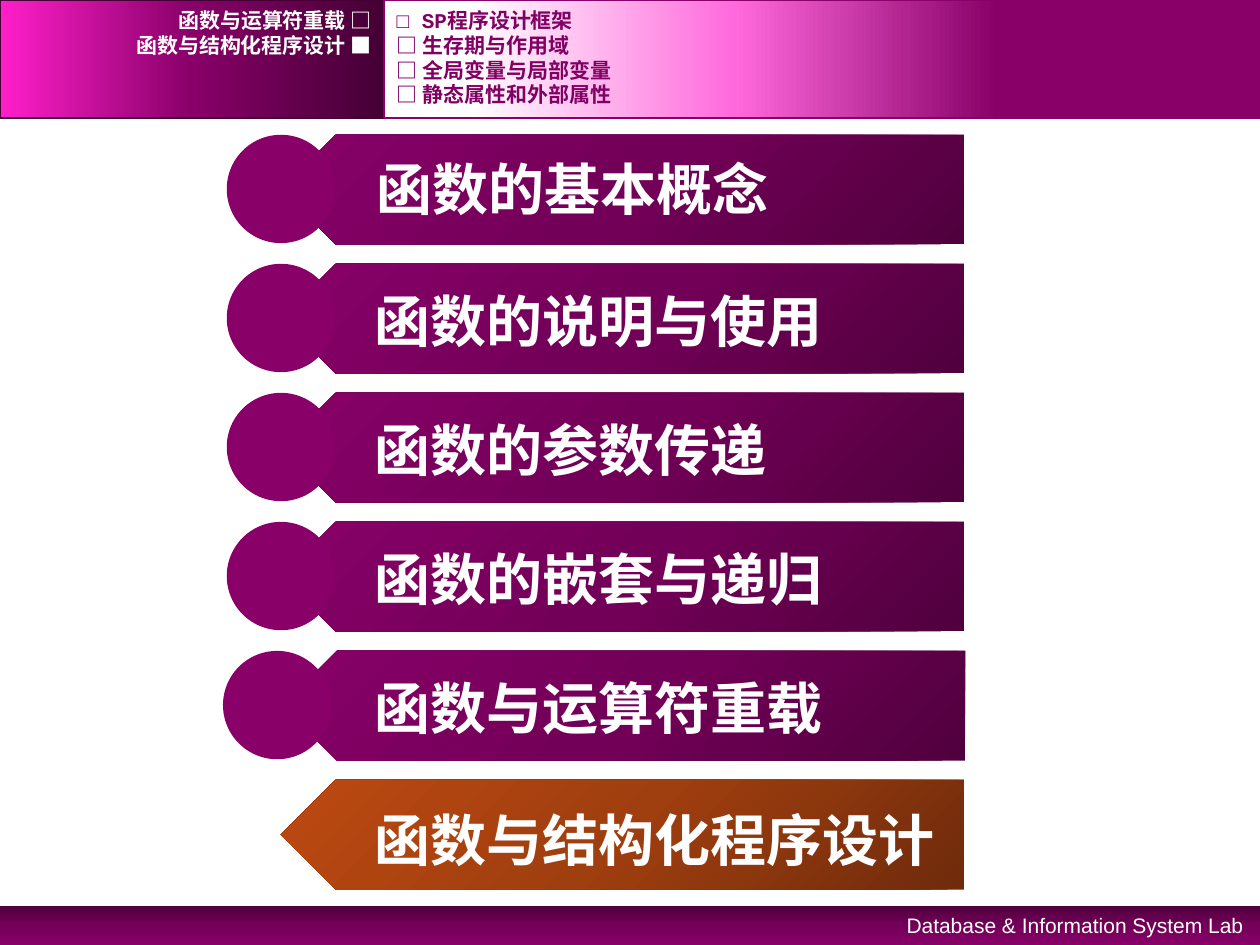
from lxml.etree import SubElement
from pptx import Presentation
from pptx.dml.color import RGBColor
from pptx.enum.shapes import MSO_SHAPE
from pptx.enum.text import MSO_ANCHOR, MSO_AUTO_SIZE, PP_ALIGN
from pptx.oxml.ns import qn
from pptx.util import Inches, Pt

# Content: text, with left and top of the text relative to its row
CHAPTERS = [
    ("函数的基本概念", 2.89, 0.11),
    ("函数的说明与使用", 2.87, 0.13),
    ("函数的参数传递", 2.87, 0.13),
    ("函数的嵌套与递归", 2.87, 0.13),
    ("函数与运算符重载", 2.87, 0.13),
    ("函数与结构化程序设计", 2.87, 0.15),
]
CURRENT = 5
SECTIONS = ["函数与运算符重载 □", "函数与结构化程序设计 ■"]
TOPICS = ["□ SP程序设计框架", "□ 生存期与作用域", "□ 全局变量与局部变量", "□ 静态属性和外部属性"]
FOOTER = "Database & Information System Lab"

# Colours and text formats
PURPLE, DEEP, WHITE = "880068", "440034", "FFFFFF"
PURPLE_STOPS = [(0, "51003E"), (50, "730058"), (100, PURPLE)]
ORANGE_STOPS = [(0, "702B0B"), (50, "9F3E0F"), (100, "BD4912")]
LEFT_STOPS = [(0, DEEP), (50, PURPLE), (100, "FF1FCA")]
RIGHT_STOPS = [(30, PURPLE), (60, "FF69DC"), (90, WHITE)]
CHAPTER_FONT = {"name": "Courier New", "size": Pt(32), "bold": True}
MENU_FONT = {"name": "Courier New", "size": Pt(12), "bold": True}
FOOTER_FONT = {"name": "Arial", "size": Pt(12)}

# Layout in inches
SPLIT = 3.05
FIRST_TOP, LAST_TOP = 1.07, 6.19
ROW_PITCH = (LAST_TOP - FIRST_TOP) / (len(CHAPTERS) - 1)
MENU_TOP, MENU_PITCH = 0.06, 0.197


def colour(hex_value):
    return RGBColor.from_string(hex_value)


def set_gradient(shape, stops, angle):
    """Fill with colour stops; the angle runs clockwise."""
    shape.fill.gradient()
    shape.fill.gradient_angle = -angle % 360
    stop_list = shape.element.spPr.find(qn("a:gradFill")).find(qn("a:gsLst"))
    for old_stop in list(stop_list):
        stop_list.remove(old_stop)
    for position, hex_value in stops:
        stop = SubElement(stop_list, qn("a:gs"), pos=str(position * 1000))
        SubElement(stop, qn("a:srgbClr"), val=hex_value)


def add_shape(page, kind, place, line=None):
    shape = page.shapes.add_shape(kind, *map(Inches, place))
    shape.shadow.inherit = False
    if line:
        shape.line.color.rgb = colour(line)
        shape.line.width = Pt(1)
    else:
        shape.line.fill.background()
    return shape


def add_text(page, text, place, font, hex_value, align=PP_ALIGN.LEFT, anchor=MSO_ANCHOR.TOP):
    box = page.shapes.add_textbox(*map(Inches, place))
    frame = box.text_frame
    frame.word_wrap = True
    frame.auto_size = MSO_AUTO_SIZE.NONE
    frame.vertical_anchor = anchor
    para = frame.paragraphs[0]
    para.alignment = align
    span = para.add_run()
    span.text = text
    for name, value in font.items():
        setattr(span.font, name, value)
    span.font.color.rgb = colour(hex_value)


def add_bands(page):
    bands = [
        ((0, 7.19, 10, 0.31), PURPLE_STOPS, 90, None),
        ((0, 0, SPLIT, 0.94), LEFT_STOPS, 180, DEEP),
        ((SPLIT, 0, 10 - SPLIT, 0.94), RIGHT_STOPS, 180, PURPLE),
    ]
    for place, stops, angle, line in bands:
        set_gradient(add_shape(page, MSO_SHAPE.RECTANGLE, place, line), stops, angle)
    add_text(page, FOOTER, (6.42, 7.19, 3.55, 0.3), FOOTER_FONT, WHITE, PP_ALIGN.RIGHT)


def add_menu(page, items, left, width, hex_value, align):
    for index, item in enumerate(items):
        place = (left, MENU_TOP + index * MENU_PITCH, width, 0.2)
        add_text(page, item, place, MENU_FONT, hex_value, align, MSO_ANCHOR.MIDDLE)


def add_chapters(page):
    for index, (text, text_left, text_drop) in enumerate(CHAPTERS):
        top = FIRST_TOP + index * ROW_PITCH
        before_current = index == CURRENT - 1
        plate_left = 2.24 if before_current else 2.23
        plate = add_shape(page, MSO_SHAPE.PENTAGON, (plate_left, top, 5.42, 0.87))
        plate.element.spPr.find(qn("a:xfrm")).set("flipH", "1")
        set_gradient(plate, ORANGE_STOPS if index == CURRENT else PURPLE_STOPS, 315)
        if index != CURRENT:
            circle_left = 1.77 if before_current else 1.8
            circle = add_shape(page, MSO_SHAPE.OVAL, (circle_left, top, 0.86, 0.86))
            circle.fill.solid()
            circle.fill.fore_color.rgb = colour(PURPLE)
        add_text(page, text, (text_left, top + text_drop, 4.72, 0.64), CHAPTER_FONT, WHITE)


def main():
    deck = Presentation()
    deck.slide_width, deck.slide_height = Inches(10), Inches(7.5)
    page = deck.slides.add_slide(deck.slide_layouts[6])
    add_bands(page)
    add_chapters(page)
    add_menu(page, SECTIONS, 0, SPLIT, WHITE, PP_ALIGN.RIGHT)
    add_menu(page, TOPICS, SPLIT, 6.02, "820064", PP_ALIGN.LEFT)
    deck.save("out.pptx")


if __name__ == "__main__":
    main()
